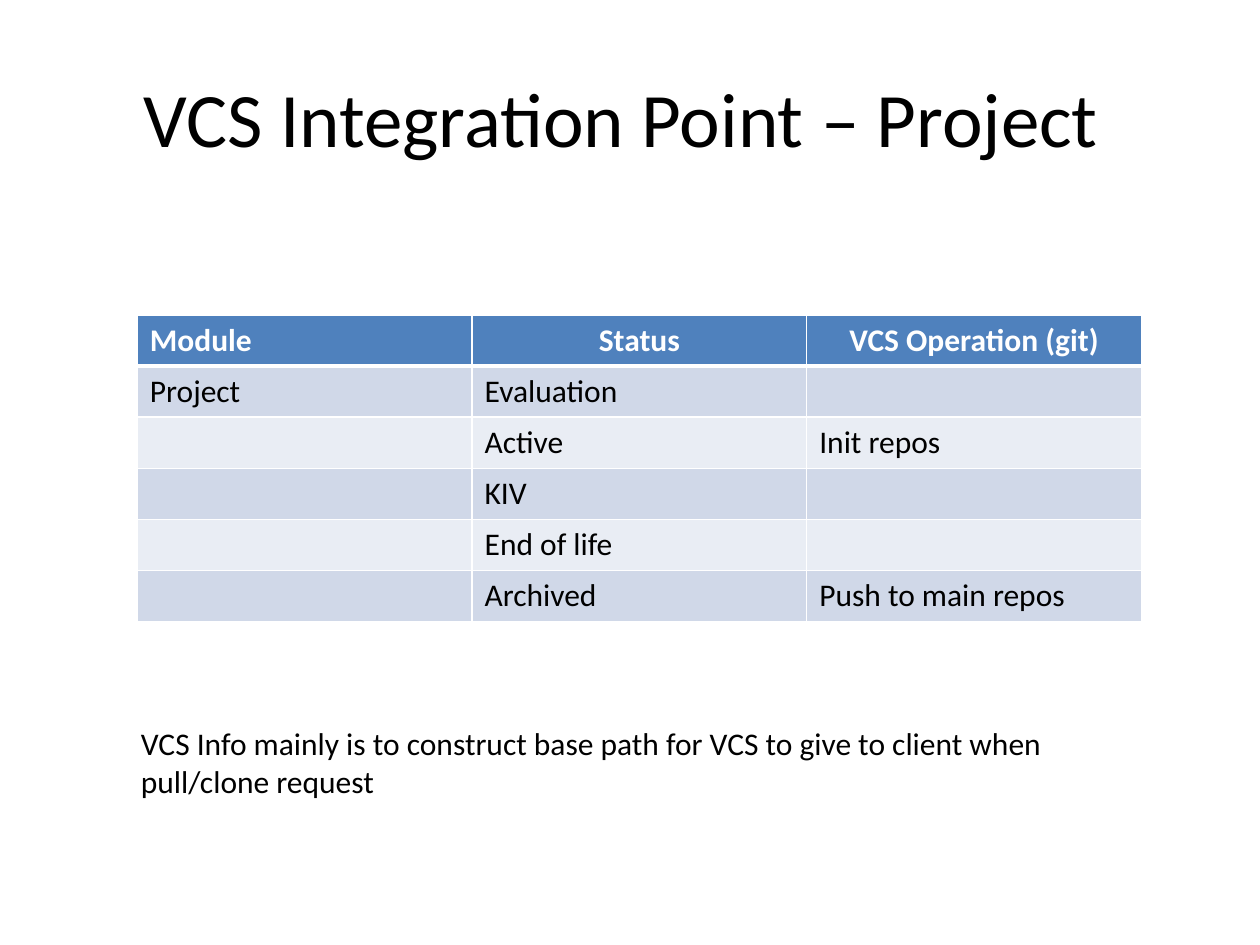
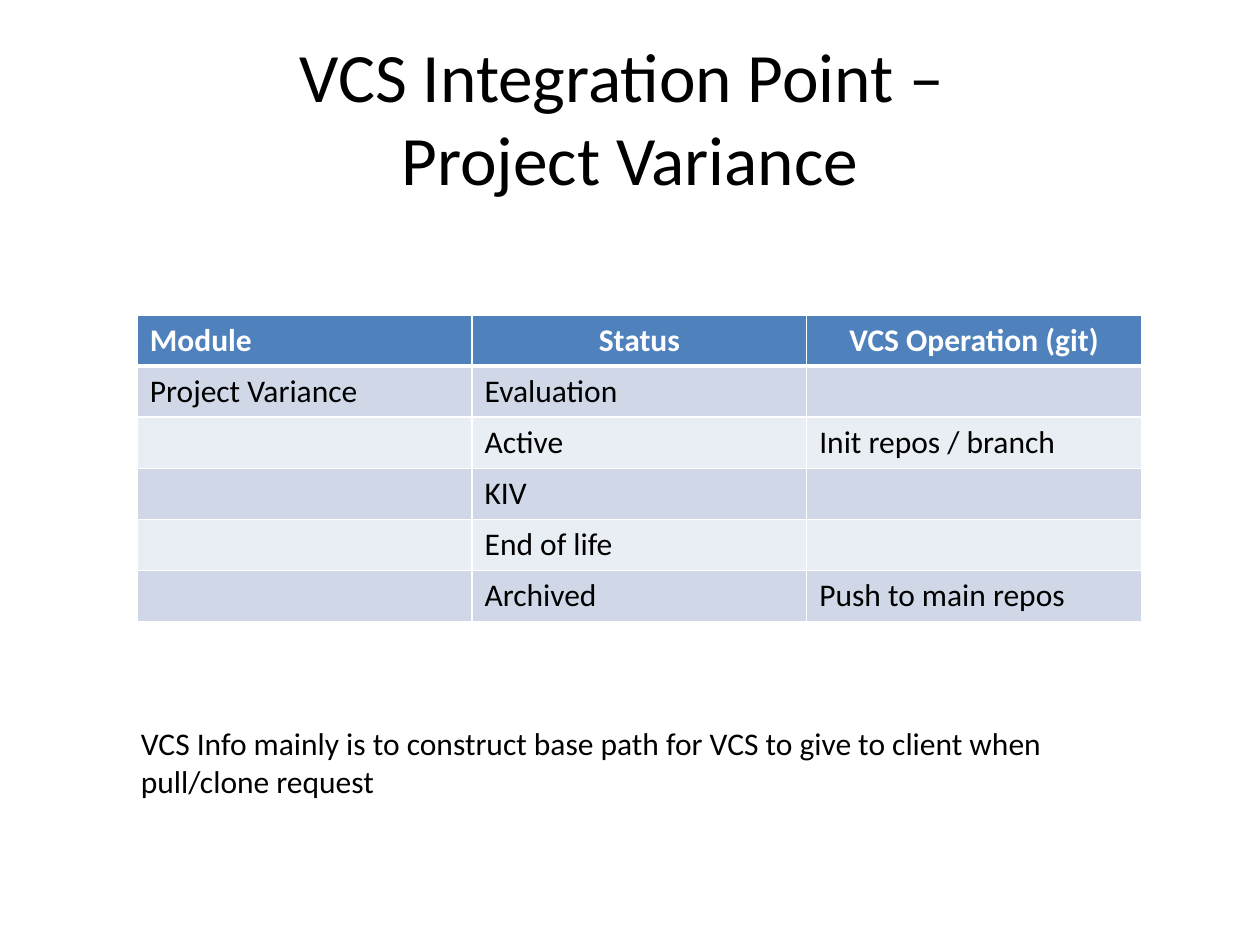
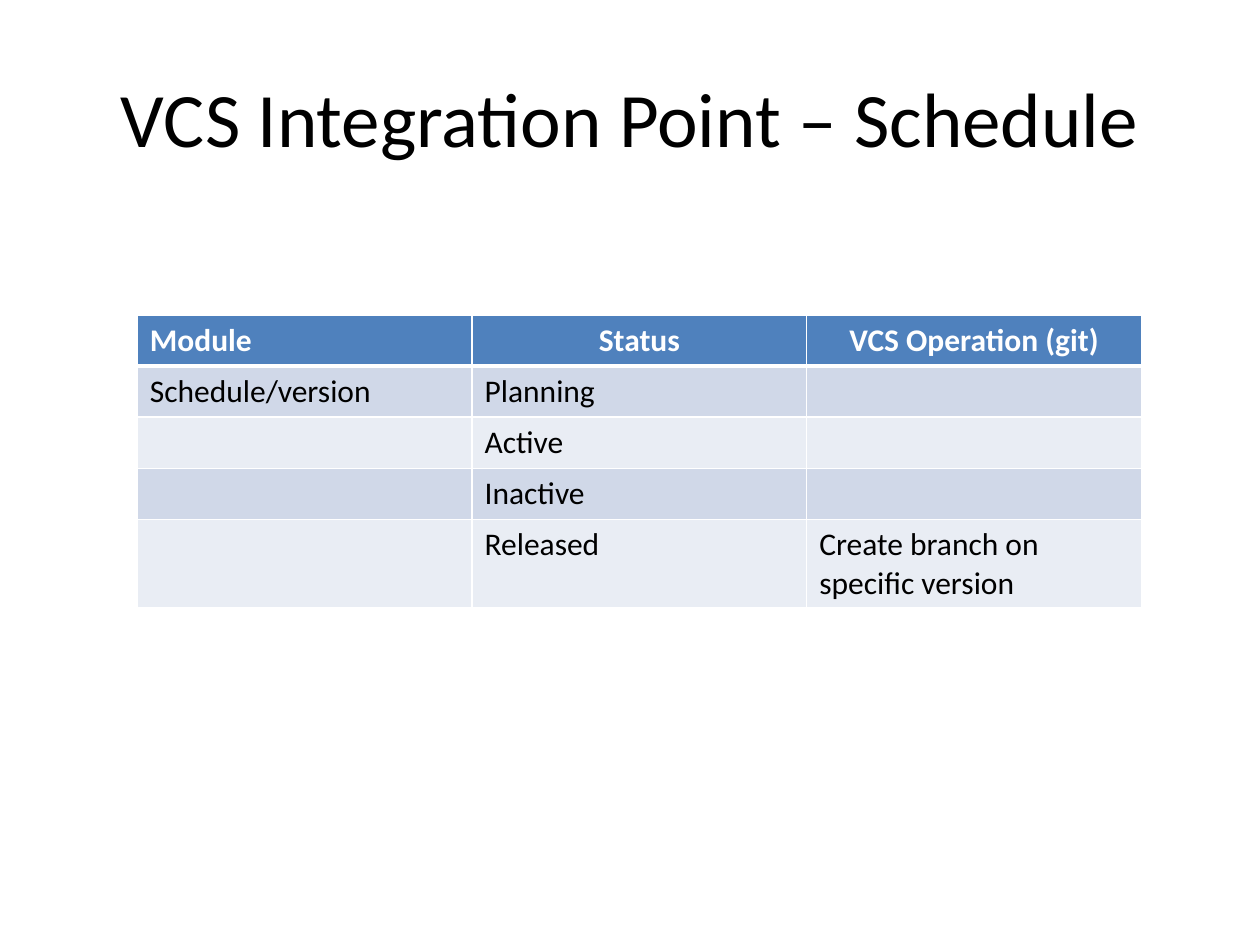
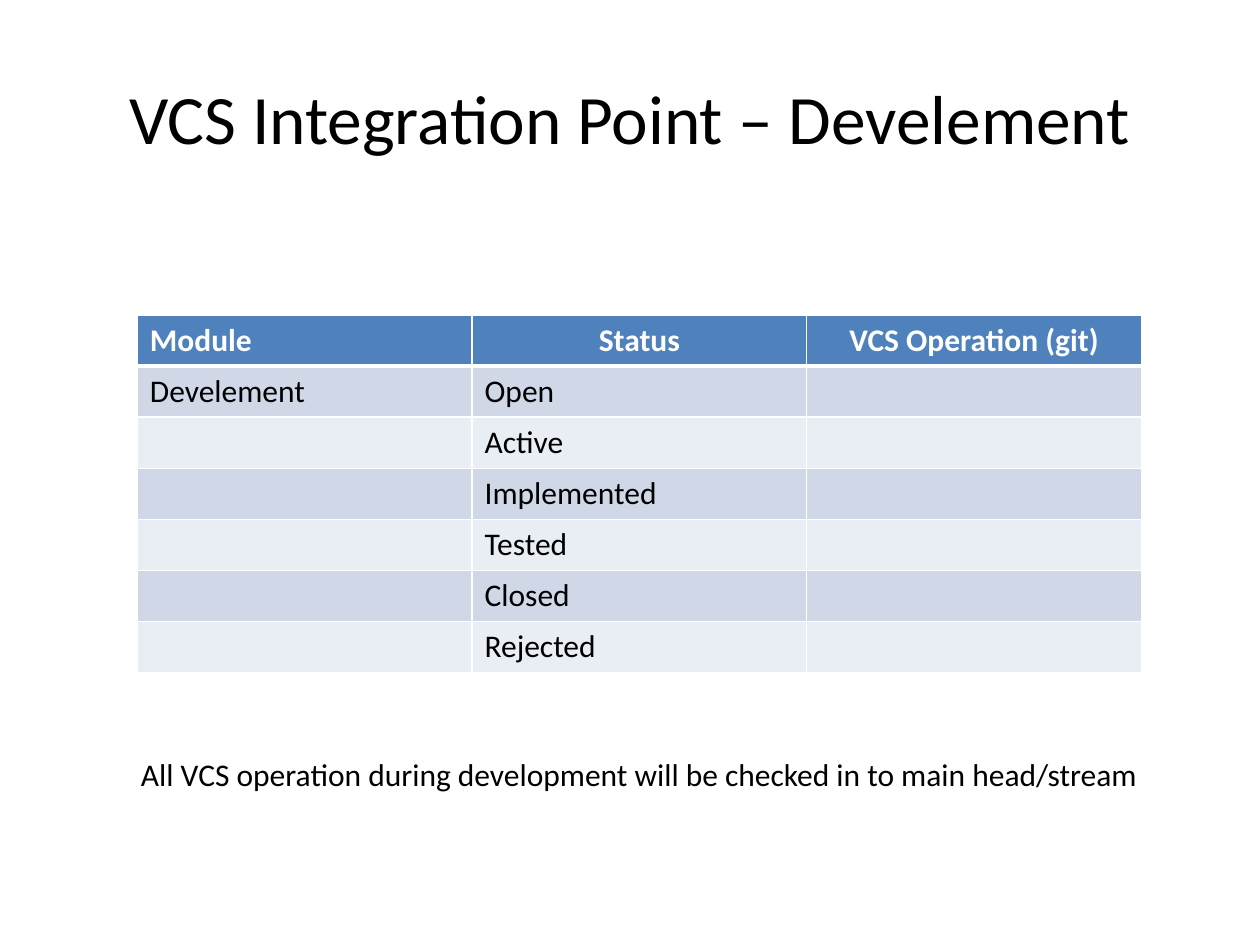
from dataclasses import dataclass
from typing import Optional

from lxml import etree
from pptx import Presentation
from pptx import util as u
from pptx.dml import color
from pptx.enum import text
from pptx.oxml import ns


@dataclass(frozen=True)
class Theme:
    font: str = "Calibri"
    ink: str = "000000"
    paper: str = "FFFFFF"
    header: str = "4F81BD"
    bands: tuple[str, str] = ("D0D8E8", "E9EDF4")
    title_size: float = 44
    small_title_size: float = 39.6
    body_size: float = 18
    thin_rule: float = 1
    thick_rule: float = 3


@dataclass(frozen=True)
class Area:
    left: float
    top: float
    width: float
    height: float

    def lengths(self) -> tuple[int, int, int, int]:
        return (u.Inches(self.left), u.Inches(self.top),
                u.Inches(self.width), u.Inches(self.height))


@dataclass(frozen=True)
class Note:
    content: str
    area: Area
    wrap: bool = True


@dataclass(frozen=True)
class StatusPage:
    title: str
    module: str
    operations: dict[str, str]
    title_size: float
    note: Optional[Note] = None


THEME = Theme()
TITLE_AREA = Area(0.5, 0.3, 9, 1.25)
TABLE_LEFT, TABLE_TOP, TABLE_WIDTH = 1.09, 2.5, 7.97
ROW_HEIGHT = 2.84 / 7
HEADINGS = ("Module", "Status", "VCS Operation (git)")
PATH_NOTE = Note(
    "VCS Info mainly is to construct base path for VCS to give to client when pull/clone request",
    Area(1.02, 5.7, 7.89, 0.71),
)

PAGES = (
    StatusPage(
        "VCS Integration Point – Project ", "Project",
        {"Evaluation": "", "Active": "Init repos", "KIV": "",
         "End of life": "", "Archived": "Push to main repos"},
        THEME.title_size, PATH_NOTE,
    ),
    StatusPage(
        "VCS Integration Point – \vProject Variance", "Project Variance",
        {"Evaluation": "", "Active": "Init repos / branch", "KIV": "",
         "End of life": "", "Archived": "Push to main repos"},
        THEME.small_title_size, PATH_NOTE,
    ),
    StatusPage(
        "VCS Integration Point – Schedule", "Schedule/version",
        {"Planning": "", "Active": "", "Inactive": "",
         "Released": "Create branch on specific version"},
        THEME.title_size,
    ),
    StatusPage(
        "VCS Integration Point – Develement", "Develement",
        dict.fromkeys(("Open", "Active", "Implemented", "Tested", "Closed", "Rejected"), ""),
        THEME.small_title_size,
        Note("All VCS operation during development will be checked in to main head/stream",
             Area(1.02, 5.94, 8.21, 0.4), wrap=False),
    ),
)


def format_text(frame, size: float, ink: str = THEME.ink, bold: bool = False,
                align=text.PP_ALIGN.LEFT) -> None:
    for para in frame.paragraphs:
        para.alignment = align
        for font in (para.font, *(span.font for span in para.runs)):
            font.name = THEME.font
            font.size = u.Pt(size)
            font.bold = bold
            font.color.rgb = color.RGBColor.from_string(ink)


def add_title(page, content: str, size: float) -> None:
    frame = page.shapes.add_textbox(*TITLE_AREA.lengths()).text_frame
    frame.word_wrap = True
    frame.vertical_anchor = text.MSO_ANCHOR.MIDDLE
    frame.text = content
    format_text(frame, size, align=text.PP_ALIGN.CENTER)


def add_note(page, note: Note) -> None:
    frame = page.shapes.add_textbox(*note.area.lengths()).text_frame
    frame.word_wrap = note.wrap
    frame.auto_size = text.MSO_AUTO_SIZE.SHAPE_TO_FIT_TEXT
    frame.text = note.content
    format_text(frame, THEME.body_size)


def add_borders(cell, top: float, bottom: float) -> None:
    properties = cell._tc.get_or_add_tcPr()
    widths = {"L": THEME.thin_rule, "R": THEME.thin_rule, "T": top, "B": bottom}
    for position, (side, width) in enumerate(widths.items()):
        line = etree.Element(ns.qn(f"a:ln{side}"), w=str(u.Pt(width)))
        fill = etree.SubElement(line, ns.qn("a:solidFill"))
        etree.SubElement(fill, ns.qn("a:srgbClr"), val=THEME.paper)
        properties.insert(position, line)


def fill_cell(cell, content: str, row: int, column: int) -> None:
    is_header = row == 0
    fill = THEME.header if is_header else THEME.bands[(row - 1) % 2]
    cell.fill.solid()
    cell.fill.fore_color.rgb = color.RGBColor.from_string(fill)
    cell.text_frame.text = content
    centred = is_header and column > 0
    format_text(cell.text_frame, THEME.body_size,
                THEME.paper if is_header else THEME.ink, is_header,
                text.PP_ALIGN.CENTER if centred else text.PP_ALIGN.LEFT)
    add_borders(cell,
                top=THEME.thick_rule if row == 1 else THEME.thin_rule,
                bottom=THEME.thick_rule if is_header else THEME.thin_rule)


def add_status_table(page, module: str, operations: dict[str, str]) -> None:
    rows = [HEADINGS]
    for index, (status, operation) in enumerate(operations.items()):
        rows.append((module if index == 0 else "", status, operation))
    area = Area(TABLE_LEFT, TABLE_TOP, TABLE_WIDTH, ROW_HEIGHT * len(rows))
    table = page.shapes.add_table(len(rows), len(HEADINGS), *area.lengths()).table
    for row, contents in enumerate(rows):
        for column, content in enumerate(contents):
            fill_cell(table.cell(row, column), content, row, column)


def main() -> None:
    deck = Presentation()
    deck.slide_width, deck.slide_height = u.Inches(10), u.Inches(7.5)
    blank = deck.slide_layouts[6]
    for content in PAGES:
        page = deck.slides.add_slide(blank)
        add_title(page, content.title, content.title_size)
        add_status_table(page, content.module, content.operations)
        if content.note:
            add_note(page, content.note)
    deck.save("out.pptx")


main()
